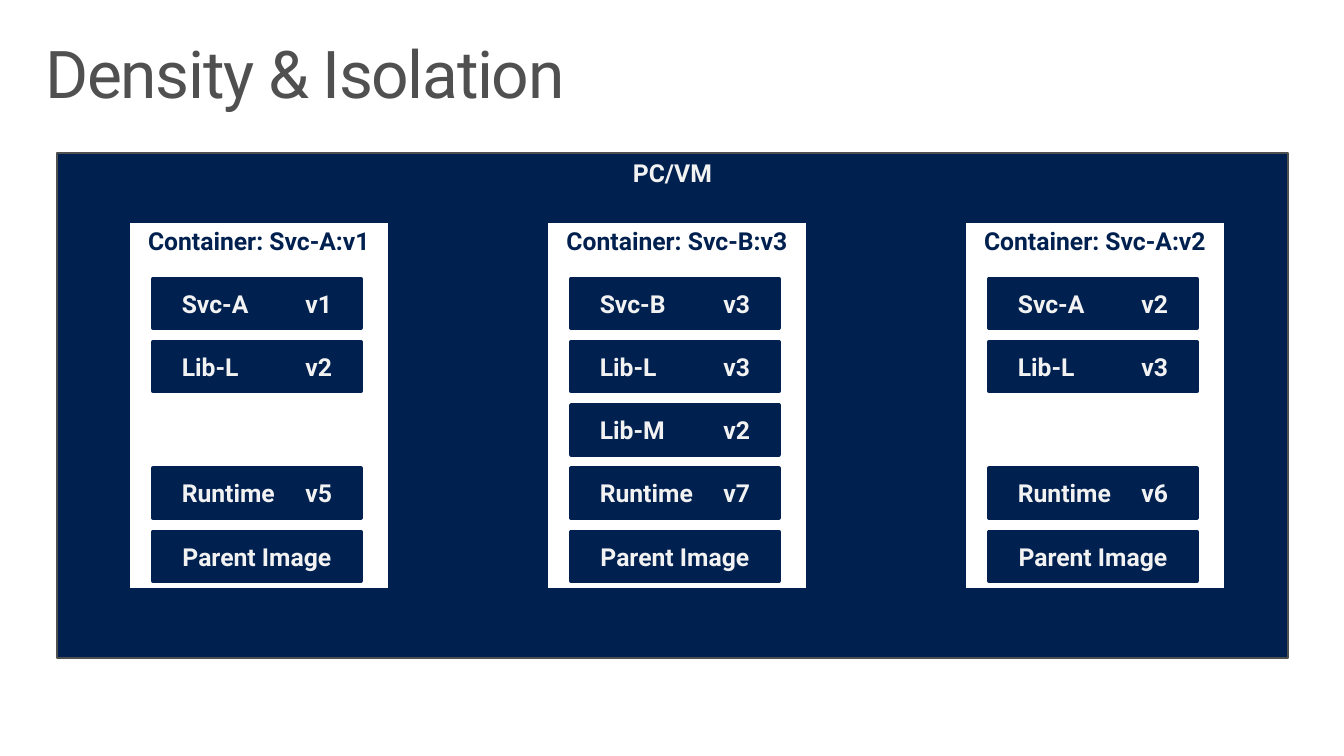
import pptx
import pptx.util
import pptx.dml.color
import pptx.enum.shapes
import pptx.enum.text
import pptx.oxml.ns
import lxml.etree

Inches = pptx.util.Inches
Pt = pptx.util.Pt
RGBColor = pptx.dml.color.RGBColor
Align = pptx.enum.text.PP_ALIGN
Anchor = pptx.enum.text.MSO_ANCHOR

NAVY = RGBColor(0x00, 0x20, 0x50)
GREY = RGBColor(0x50, 0x50, 0x50)
PALE = RGBColor(0xF2, 0xF2, 0xF2)
WHITE = RGBColor(0xFF, 0xFF, 0xFF)

TITLE = "Density & Isolation"
HOST = "PC/VM"
BASE = "Parent Image"
STACKS = [
    ("Container: Svc-A:v1", [("Svc-A", "v1"), ("Lib-L", "v2"), None, ("Runtime", "v5")]),
    ("Container: Svc-B:v3", [("Svc-B", "v3"), ("Lib-L", "v3"), ("Lib-M", "v2"), ("Runtime", "v7")]),
    ("Container: Svc-A:v2", [("Svc-A", "v2"), ("Lib-L", "v3"), None, ("Runtime", "v6")]),
]

LEFT, TOP, STEP = 1.29, 2.24, 4.23
INSET, FIRST, PITCH = 0.26, 2.82, 0.64


def write(shape, text, size=18, color=PALE, bold=True, align=Align.CENTER,
          anchor=Anchor.TOP, pad=(0.05, 0.05), tab=None, gap=None, lead=None):
    frame = shape.text_frame
    frame.word_wrap = True
    frame.auto_size = pptx.enum.text.MSO_AUTO_SIZE.NONE
    frame.vertical_anchor = anchor
    frame.margin_left = frame.margin_right = Inches(pad[0])
    frame.margin_top = frame.margin_bottom = Inches(pad[1])
    para = frame.paragraphs[0]
    para.alignment = align
    if lead:
        para.line_spacing = lead
    run = para.add_run()
    run.text = text
    font = run.font
    font.name, font.size, font.bold = "Roboto", Pt(size), bold
    font.color.rgb = color
    if gap:
        font._element.set("spc", str(gap))
    if tab:
        name = pptx.oxml.ns.qn
        stops = lxml.etree.SubElement(para._p.get_or_add_pPr(), name("a:tabLst"))
        lxml.etree.SubElement(stops, name("a:tab"), pos=str(Inches(tab)), algn="l")


def box(shapes, x, y, w, h, fill, line=NAVY, width=3):
    shape = shapes.add_shape(pptx.enum.shapes.MSO_SHAPE.RECTANGLE,
                             Inches(x), Inches(y), Inches(w), Inches(h))
    shape.shadow.inherit = False
    shape.fill.solid()
    shape.fill.fore_color.rgb = fill
    shape.line.color.rgb = line
    shape.line.width = Pt(width)
    return shape


def main():
    deck = pptx.Presentation()
    deck.slide_width, deck.slide_height = Inches(13.6), Inches(7.65)
    slide = deck.slides.add_slide(deck.slide_layouts[5])

    title = slide.shapes.title
    title.left, title.top = Inches(0.3), Inches(0.32)
    title.width, title.height = Inches(13), Inches(1)
    write(title, TITLE, size=48, color=GREY, bold=False, align=Align.LEFT,
          pad=(0.16, 0.1), gap=-100, lead=0.9)

    host = box(slide.shapes, 0.58, 1.55, 12.45, 5.11, NAVY, line=GREY, width=1.5)
    write(host, HOST)

    for col, (head, parts) in enumerate(STACKS):
        x = LEFT + col * STEP
        group = slide.shapes.add_group_shape()
        write(box(group.shapes, x, TOP, 2.66, 3.73, WHITE), head, color=NAVY)
        for row, part in enumerate(parts + [(BASE,)]):
            if part:
                tile = box(group.shapes, x + INSET, FIRST + row * PITCH, 2.1, 0.5, NAVY)
                write(tile, "\t".join(part), anchor=Anchor.MIDDLE, tab=1.25)

    deck.save("out.pptx")


if __name__ == "__main__":
    main()
